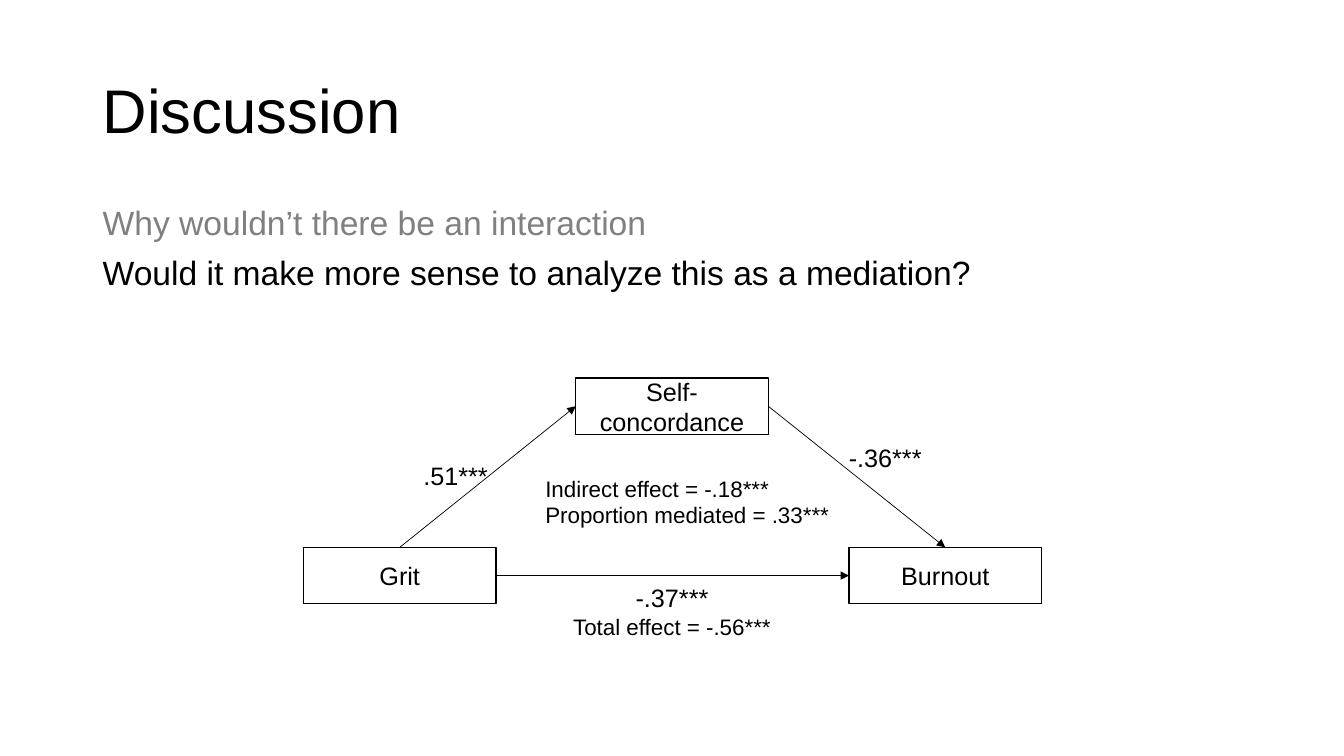
from lxml import etree
from pptx import Presentation
from pptx import util as u
from pptx.dml.color import RGBColor
from pptx.enum import shapes, text
from pptx.oxml import ns

BLACK = RGBColor(0x00, 0x00, 0x00)
GRAY = RGBColor(0x80, 0x80, 0x80)
WHITE = RGBColor(0xFF, 0xFF, 0xFF)
EMU_PER_PX = 9144  # 100 px to the inch
TOP, LEFT, RIGHT = 0, 1, 3  # connection sites of a rectangle


def px(length):
    return u.Emu(length * EMU_PER_PX)


def add_text(frame, content, size=18, color=BLACK, font="Arial", align=text.PP_ALIGN.LEFT,
             line_spacing=None, space_before=None):
    """Fill the frame's empty first paragraph, or append a new one."""
    paragraph = frame.paragraphs[0]
    if paragraph.runs:
        paragraph = frame.add_paragraph()
        if space_before:
            paragraph.space_before = u.Pt(space_before)
    paragraph.alignment = align
    if line_spacing:
        paragraph.line_spacing = line_spacing
    run = paragraph.add_run()
    run.text = content
    run.font.name, run.font.size = font, u.Pt(size)
    run.font.color.rgb = color


class DiagramSlide:
    box_width, box_height = 191, 56
    box_line, arrow_line = u.Pt(1), u.Pt(0.5)

    def __init__(self, presentation):
        self.slide = presentation.slides.add_slide(presentation.slide_layouts[6])

    def text_box(self, left, top, width, height, wrap=False, anchor=text.MSO_ANCHOR.TOP):
        frame = self.slide.shapes.add_textbox(px(left), px(top), px(width), px(height)).text_frame
        frame.word_wrap = wrap
        frame.vertical_anchor = anchor
        return frame

    def variable(self, left, top, name):
        shape = self.slide.shapes.add_shape(
            shapes.MSO_SHAPE.RECTANGLE, px(left), px(top), px(self.box_width), px(self.box_height))
        shape.shadow.inherit = False
        shape.fill.solid()
        shape.fill.fore_color.rgb = WHITE
        shape.line.color.rgb = BLACK
        shape.line.width = self.box_line
        shape.text_frame.word_wrap = True
        shape.text_frame.vertical_anchor = text.MSO_ANCHOR.MIDDLE
        add_text(shape.text_frame, name, align=text.PP_ALIGN.CENTER)
        return shape

    def arrow(self, start, start_site, end, end_site):
        connector = self.slide.shapes.add_connector(shapes.MSO_CONNECTOR.STRAIGHT, 0, 0, 0, 0)
        connector.begin_connect(start, start_site)
        connector.end_connect(end, end_site)
        connector.line.color.rgb = BLACK
        connector.line.width = self.arrow_line
        etree.SubElement(connector.line._get_or_add_ln(), ns.qn("a:tailEnd"), type="triangle")
        etree.SubElement(connector._element.spPr, ns.qn("a:effectLst"))


def main():
    presentation = Presentation()
    presentation.slide_width, presentation.slide_height = u.Inches(13.33), u.Inches(7.5)
    diagram = DiagramSlide(presentation)

    # Title and questions
    title = diagram.text_box(92, 40, 1150, 145, wrap=True, anchor=text.MSO_ANCHOR.MIDDLE)
    add_text(title, "Discussion", size=44, line_spacing=0.9)
    questions = diagram.text_box(92, 200, 1150, 105, wrap=True)
    for question, color in (
        ("Why wouldn’t there be an interaction", GRAY),
        ("Would it make more sense to analyze this as a mediation?", BLACK),
    ):
        add_text(questions, question, size=24, color=color, line_spacing=0.9, space_before=10)

    # Variables of the mediation model
    grit = diagram.variable(301, 543, "Grit")
    concordance = diagram.variable(571, 375, "Self-concordance")
    burnout = diagram.variable(842, 543, "Burnout")

    # Paths between them
    diagram.arrow(grit, TOP, concordance, LEFT)
    diagram.arrow(grit, RIGHT, burnout, LEFT)
    diagram.arrow(concordance, RIGHT, burnout, TOP)

    # Coefficients and effects: box, alignment, (wording, size) lines
    left, center = text.PP_ALIGN.LEFT, text.PP_ALIGN.CENTER
    for box, align, lines in (
        ((832, 434, 93, 40), left, [("-.36***", 18)]),
        ((410, 452, 85, 40), left, [(".51***", 18)]),
        ((557, 573, 219, 67), center, [("-.37***", 18), ("Total effect = -.56***", 16)]),
        ((531, 466, 305, 64), left,
         [("Indirect effect = -.18***", 16), ("Proportion mediated = .33***", 16)]),
    ):
        label = diagram.text_box(*box)
        for wording, size in lines:
            add_text(label, wording, size=size, align=align)

    presentation.save("out.pptx")


if __name__ == "__main__":
    main()
